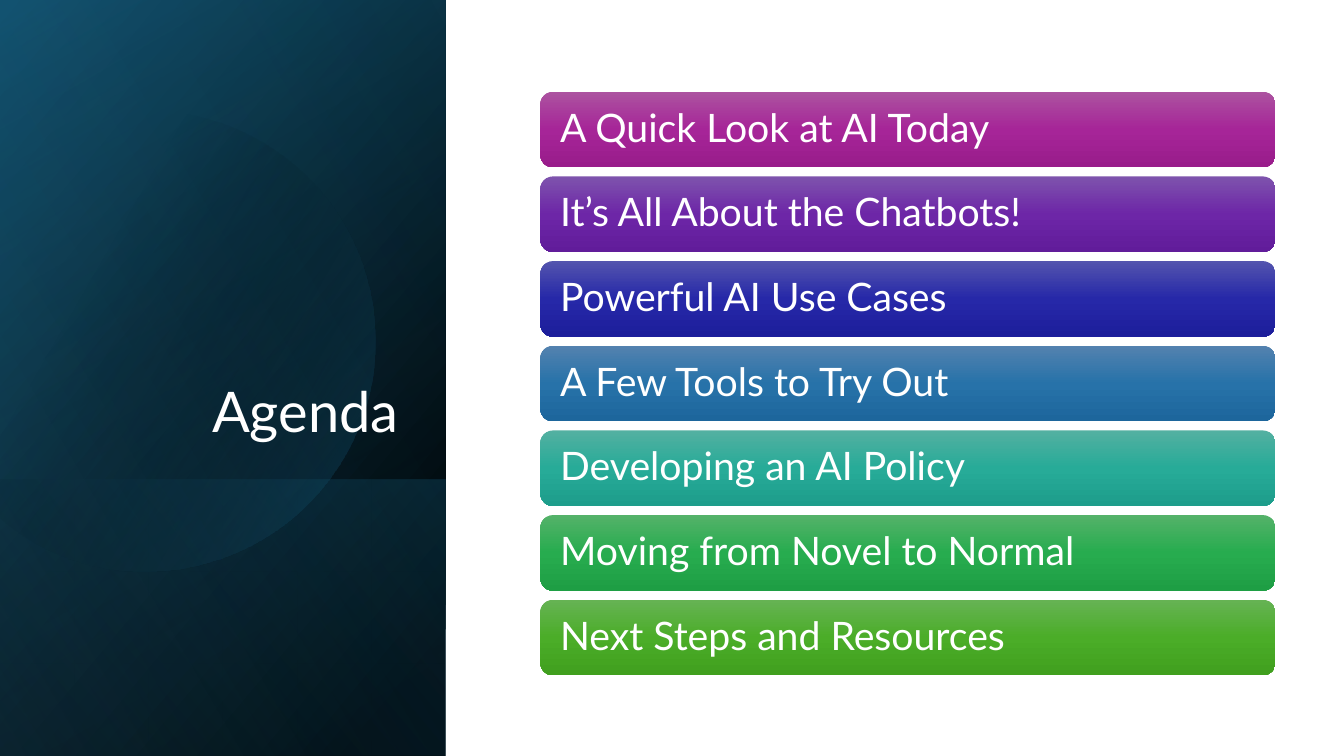
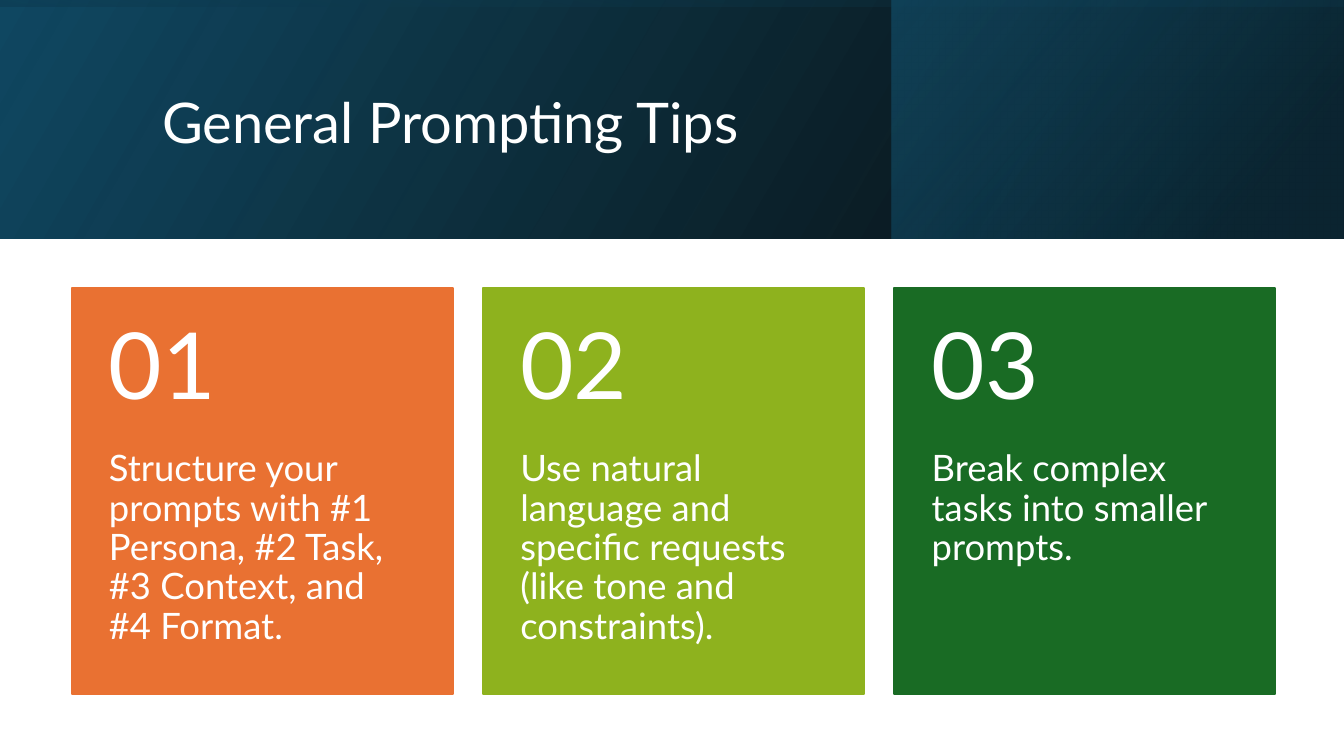
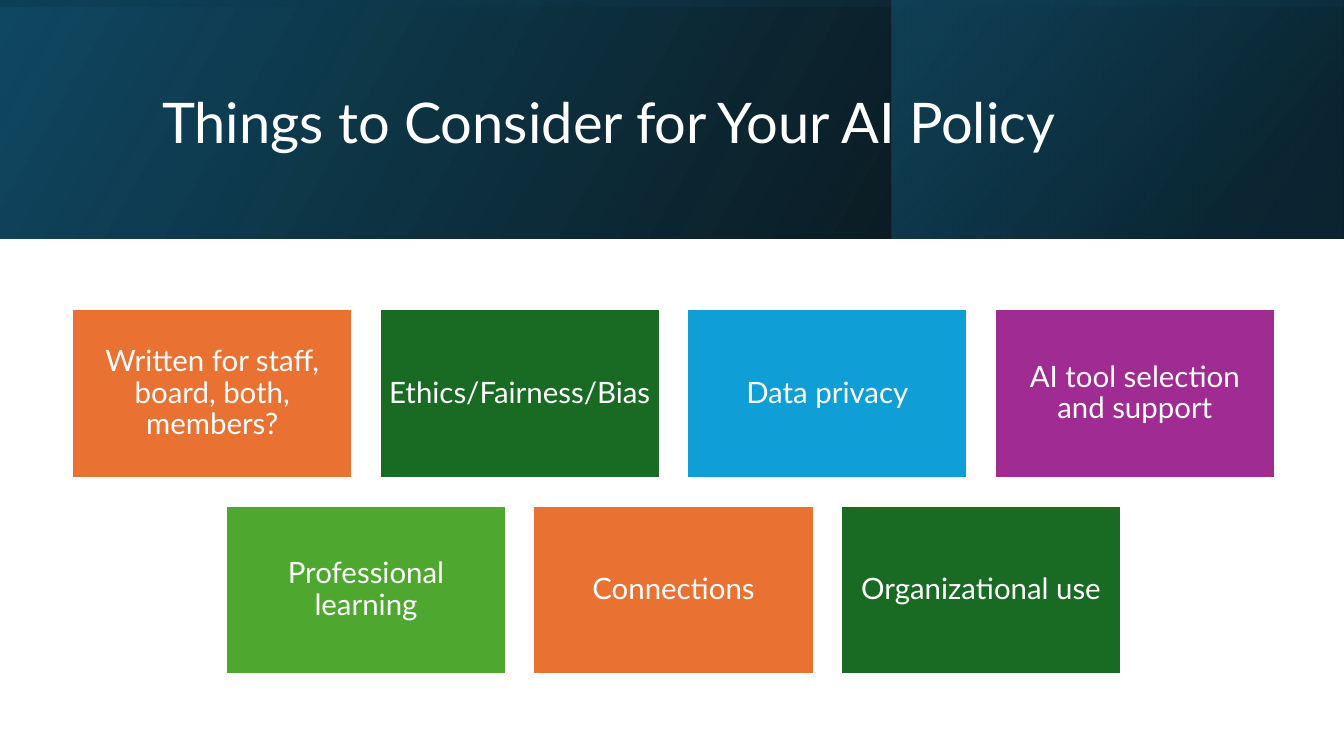
from dataclasses import dataclass

import lxml.etree
import pptx
import pptx.dml.color
import pptx.enum.shapes
import pptx.enum.text
import pptx.oxml.ns
import pptx.util

Inches = pptx.util.Inches
Pt = pptx.util.Pt
ShapeKind = pptx.enum.shapes.MSO_SHAPE
Align = pptx.enum.text.PP_ALIGN
Anchor = pptx.enum.text.MSO_ANCHOR
qn = pptx.oxml.ns.qn

FONT = "Lato"
WHITE = "FFFFFF"
BLACK = "000000"
NAVY = "104862"
TEAL = "156082"
ORANGE = "E97132"
OLIVE = "8EB21E"
DARK_GREEN = "196B24"
GREEN = "4EA72E"
BLUE = "0F9ED5"
PURPLE = "A02B93"

SLIDE_WIDTH = 13.33
SLIDE_HEIGHT = 7.5
CONTENT_LEFT = 0.71
SIDE_WIDTH = 4.42
BAND_HEIGHT = 2.37


@dataclass(frozen=True)
class Box:
    left: float
    top: float
    width: float
    height: float

    def lengths(self) -> tuple:
        return tuple(Inches(v) for v in (self.left, self.top, self.width, self.height))

    def quarter_turned(self) -> "Box":
        """The frame that covers this box once it is rotated by 90 degrees."""
        shift = (self.width - self.height) / 2
        return Box(self.left + shift, self.top - shift, self.height, self.width)


@dataclass(frozen=True)
class Stop:
    position: float
    color: str
    opacity: float = 100


@dataclass(frozen=True)
class Panel:
    """A mirrored gradient rectangle; area is what it covers on the slide."""
    area: Box
    stops: tuple[Stop, ...]
    angle: float
    rotation: int = 0


@dataclass(frozen=True)
class TextStyle:
    size: float
    align: Align = Align.LEFT
    anchor: Anchor = Anchor.MIDDLE
    insets: tuple[float, float, float, float] = (0.1, 0.05, 0.1, 0.05)


@dataclass(frozen=True)
class AgendaItem:
    text: str
    colors: tuple[str, str, str]


@dataclass(frozen=True)
class Tile:
    text: str
    color: str


SIDE = Box(0, 0, SIDE_WIDTH, SLIDE_HEIGHT)
SIDE_FOOT = Box(0, 4.76, SIDE_WIDTH, 2.74)
BAND = Box(0, 0, SLIDE_WIDTH, BAND_HEIGHT)
BAND_END = Box(8.84, 0, 4.48, BAND_HEIGHT)

SIDE_PANELS = (
    Panel(SIDE, (Stop(8, BLACK), Stop(100, NAVY)), 50, 90),
    Panel(SIDE, (Stop(0, BLACK, 0), Stop(99, TEAL, 46)), 30, 90),
    Panel(SIDE_FOOT, (Stop(2, TEAL, 29), Stop(100, BLACK, 30)), 130, 90),
)
SIDE_SHEEN = Panel(SIDE, (Stop(0, BLACK, 0), Stop(99, "46B1E1", 11)), 120, 90)
BAND_PANELS = (
    Panel(BAND, (Stop(0, BLACK, 96), Stop(100, NAVY)), 330),
    Panel(BAND_END, (Stop(19, "0B3041", 68), Stop(100, TEAL, 48)), 320),
    Panel(BAND, (Stop(23, NAVY, 16), Stop(99, BLACK, 45)), 350, 270),
)

# Each curve of the disc: two control points and an end point.
DISC_START = (0, 1.61)
DISC_CURVES = (
    ((0.23, 1.42), (0.5, 1.28), (0.8, 1.19)),
    ((1.03, 1.13), (1.26, 1.1), (1.49, 1.1)),
    ((2.46, 1.12), (3.35, 1.77), (3.63, 2.75)),
    ((3.98, 3.97), (3.28, 5.23), (2.07, 5.58)),
    ((1.31, 5.8), (0.53, 5.61), (0, 5.14)),
)
DISC_STOPS = (Stop(29, BLACK, 0), Stop(100, TEAL, 43))

SIDE_TITLE = TextStyle(40, Align.RIGHT, Anchor.BOTTOM)
BAND_TITLE = TextStyle(40)
AGENDA_TEXT = TextStyle(28, insets=(0.16, 0.12, 0.16, 0.12))
TIP_NUMBER = TextStyle(66, insets=(0.37, 0.18, 0.37, 0.18))
NUMBER_HEIGHT = 1.61
TIP_TEXT = TextStyle(26, anchor=Anchor.TOP, insets=(0.37, NUMBER_HEIGHT, 0.37, 0.36))
TOPIC_TEXT = TextStyle(21, Align.CENTER, insets=(0.09, 0.09, 0.09, 0.09))

AGENDA = (
    AgendaItem("A Quick Look at AI Today", ("AC53A0", "A62598", "991C8B")),
    AgendaItem("It’s All About the Chatbots!", ("7E53AD", "6D26A7", "611C9A")),
    AgendaItem("Powerful AI Use Cases", ("5354AE", "2628A8", "1D1E9B")),
    AgendaItem("A Few Tools to Try Out", ("5382AF", "2772A9", "1D669C")),
    AgendaItem("Developing an AI Policy", ("53B0A1", "27AB98", "1D9D8B")),
    AgendaItem("Moving from Novel to Normal", ("54B269", "27AC4F", "1E9E44")),
    AgendaItem("Next Steps and Resources", ("66B354", "4BAD28", "409F1E")),
)
TIPS = (
    Tile("Structure your prompts with #1 Persona, #2 Task, #3 Context, and #4 Format.", ORANGE),
    Tile("Use natural language and specific requests (like tone and constraints).", OLIVE),
    Tile("Break complex tasks into smaller prompts.", DARK_GREEN),
)
TOPIC_ROWS = (
    (
        Tile("Written for staff, board, both, members?", ORANGE),
        Tile("Ethics/Fairness/Bias", DARK_GREEN),
        Tile("Data privacy", BLUE),
        Tile("AI tool selection and support", PURPLE),
    ),
    (
        Tile("Professional learning", GREEN),
        Tile("Connections", ORANGE),
        Tile("Organizational use", DARK_GREEN),
    ),
)


def rgb(color: str) -> pptx.dml.color.RGBColor:
    return pptx.dml.color.RGBColor.from_string(color)


def fill_gradient(shape, stops: tuple[Stop, ...], angle: float) -> None:
    """Gradient fill without outline; angle runs clockwise in degrees."""
    shape.shadow.inherit = False
    shape.line.fill.background()
    shape.fill.gradient()
    gradient = shape.element.spPr.find(qn("a:gradFill"))
    stop_list = gradient.find(qn("a:gsLst"))
    for old_stop in list(stop_list):
        stop_list.remove(old_stop)
    for stop in stops:
        node = lxml.etree.SubElement(stop_list, qn("a:gs"), pos=str(round(stop.position * 1000)))
        color = lxml.etree.SubElement(node, qn("a:srgbClr"), val=stop.color)
        if stop.opacity < 100:
            lxml.etree.SubElement(color, qn("a:alpha"), val=str(round(stop.opacity * 1000)))
    gradient.find(qn("a:lin")).set("ang", str(round(angle * 60000)))


def write(shape, text: str, style: TextStyle) -> None:
    frame = shape.text_frame
    frame.word_wrap = True
    frame.vertical_anchor = style.anchor
    (frame.margin_left, frame.margin_top,
     frame.margin_right, frame.margin_bottom) = map(Inches, style.insets)
    paragraph = frame.paragraphs[0]
    paragraph.text = text
    paragraph.alignment = style.align
    paragraph.line_spacing = 0.9
    paragraph.font.name = FONT
    paragraph.font.size = Pt(style.size)
    paragraph.font.color.rgb = rgb(WHITE)


def add_text(slide, box: Box, text: str, style: TextStyle) -> None:
    write(slide.shapes.add_textbox(*box.lengths()), text, style)


def add_panel(slide, panel: Panel) -> None:
    frame = panel.area.quarter_turned() if panel.rotation else panel.area
    shape = slide.shapes.add_shape(ShapeKind.RECTANGLE, *frame.lengths())
    shape.rotation = panel.rotation
    shape.element.spPr.find(qn("a:xfrm")).set("flipH", "1")
    fill_gradient(shape, panel.stops, panel.angle)


def add_tile(slide, box: Box, tile: Tile, line_color: str, style: TextStyle) -> None:
    shape = slide.shapes.add_shape(ShapeKind.RECTANGLE, *box.lengths())
    shape.shadow.inherit = False
    shape.fill.solid()
    shape.fill.fore_color.rgb = rgb(tile.color)
    shape.line.color.rgb = rgb(line_color)
    shape.line.width = Pt(1.5)
    write(shape, tile.text, style)


def curve_points(start: tuple, curve: tuple, steps: int = 24) -> list[tuple]:
    """Points along a cubic curve, without its start."""
    points = []
    for step in range(1, steps + 1):
        t = step / steps
        weights = ((1 - t) ** 3, 3 * t * (1 - t) ** 2, 3 * t * t * (1 - t), t ** 3)
        points.append(tuple(
            Inches(sum(w * point[axis] for w, point in zip(weights, (start, *curve))))
            for axis in (0, 1)))
    return points


def add_disc(slide) -> None:
    builder = slide.shapes.build_freeform(*map(Inches, DISC_START))
    start = DISC_START
    points = []
    for curve in DISC_CURVES:
        points += curve_points(start, curve)
        start = curve[-1]
    builder.add_line_segments(points, close=True)
    fill_gradient(builder.convert_to_shape(), DISC_STOPS, 30)


def add_slide(deck):
    return deck.slides.add_slide(deck.slide_layouts[6])


def add_band_slide(deck, title: str):
    slide = add_slide(deck)
    for panel in BAND_PANELS:
        add_panel(slide, panel)
    add_text(slide, Box(1.51, 0.38, 10.63, 1.72), title, BAND_TITLE)
    return slide


def add_agenda_slide(deck) -> None:
    slide = add_slide(deck)
    for panel in SIDE_PANELS:
        add_panel(slide, panel)
    add_disc(slide)
    add_panel(slide, SIDE_SHEEN)
    add_text(slide, Box(0.64, 1.84, 3.41, 2.62), "Agenda", SIDE_TITLE)
    for index, item in enumerate(AGENDA):
        box = Box(5.36, 0.91 + index * 0.84, 7.29, 0.75)
        bar = slide.shapes.add_shape(ShapeKind.ROUNDED_RECTANGLE, *box.lengths())
        stops = tuple(Stop(at, color) for at, color in zip((0, 50, 100), item.colors))
        fill_gradient(bar, stops, 90)
        write(bar, item.text, AGENDA_TEXT)


def add_tips_slide(deck) -> None:
    slide = add_band_slide(deck, "General Prompting Tips")
    width, height, pitch, top = 3.78, 4.03, 4.08, 2.86
    for index, tip in enumerate(TIPS):
        left = CONTENT_LEFT + index * pitch
        add_tile(slide, Box(left, top, width, height), tip, tip.color, TIP_TEXT)
        add_text(slide, Box(left, top, width, NUMBER_HEIGHT), f"{index + 1:02}", TIP_NUMBER)


def add_policy_slide(deck) -> None:
    slide = add_band_slide(deck, "Things to Consider for Your AI Policy")
    width, height, gap, center = 2.78, 1.67, 0.27, 6.68
    for row_index, row in enumerate(TOPIC_ROWS):
        row_width = len(row) * (width + gap) - gap
        top = 3.07 + row_index * 1.95
        for column, topic in enumerate(row):
            left = center - row_width / 2 + column * (width + gap)
            add_tile(slide, Box(left, top, width, height), topic, WHITE, TOPIC_TEXT)


def main() -> None:
    deck = pptx.Presentation()
    deck.slide_width = Inches(SLIDE_WIDTH)
    deck.slide_height = Inches(SLIDE_HEIGHT)
    add_agenda_slide(deck)
    add_tips_slide(deck)
    add_policy_slide(deck)
    deck.save("out.pptx")


if __name__ == "__main__":
    main()
